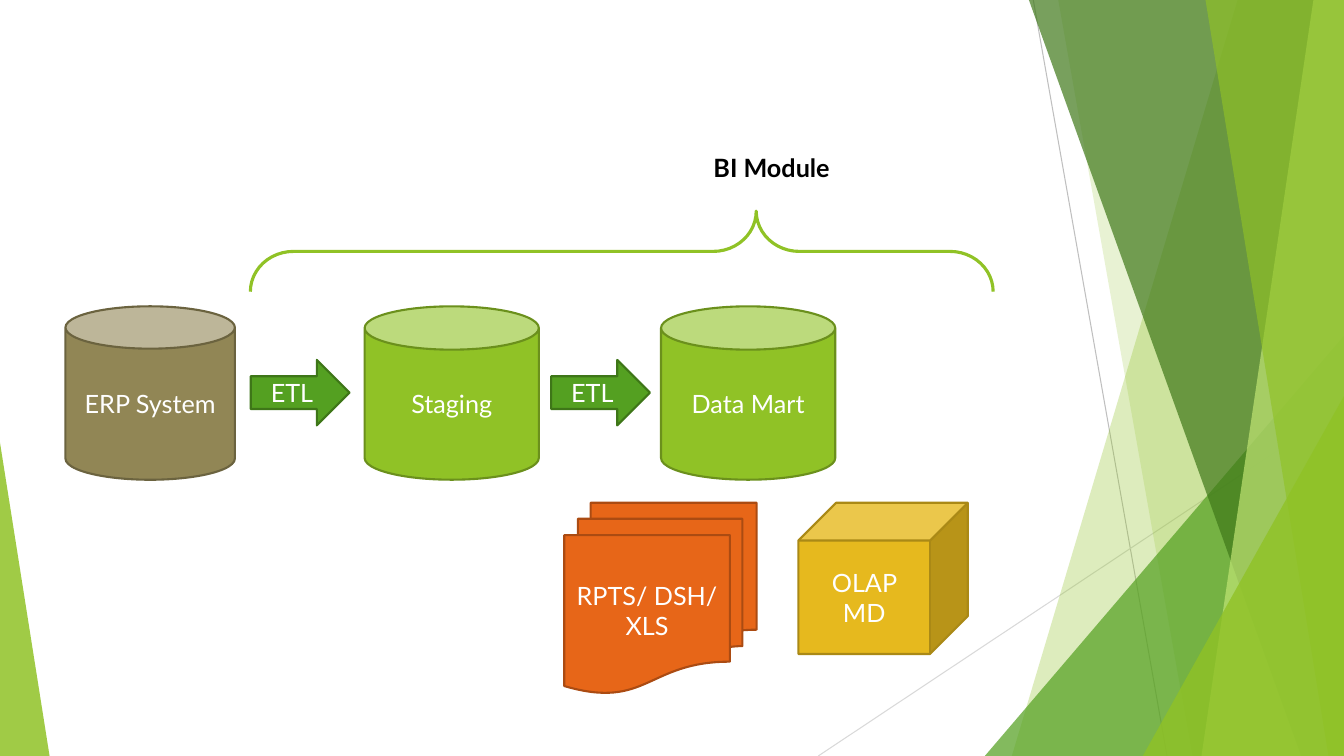
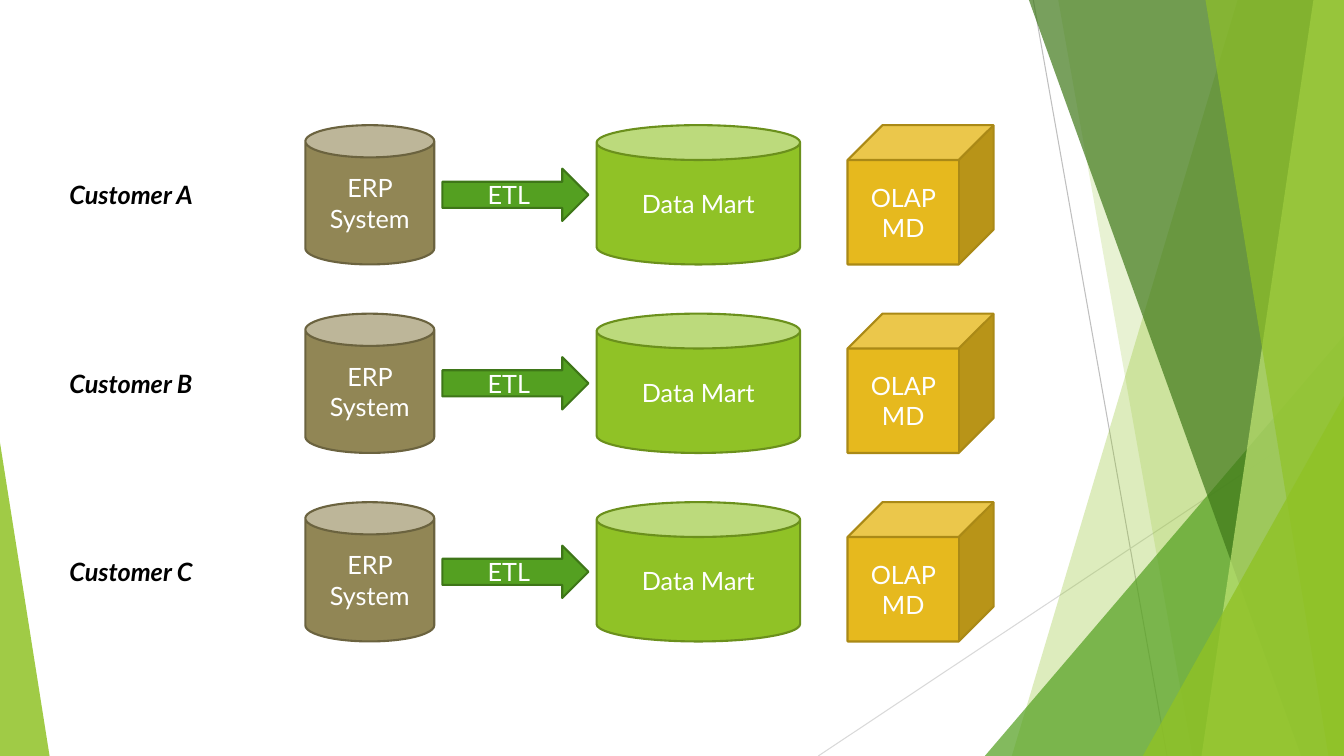
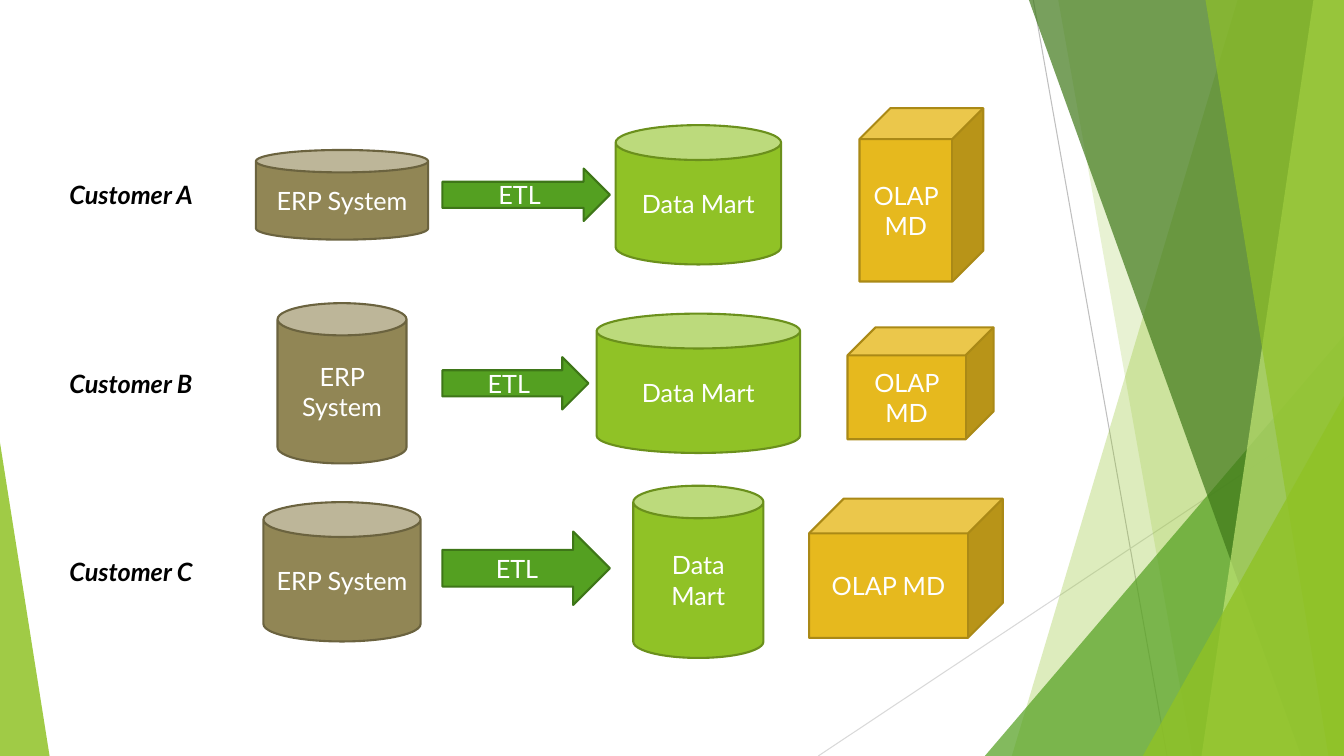
from pptx import Presentation
from pptx.dml.color import RGBColor
from pptx.enum.shapes import MSO_CONNECTOR, MSO_SHAPE
from pptx.enum.text import PP_ALIGN
from pptx.oxml.ns import qn
from pptx.util import Cm, Pt
from lxml import etree

CAN = MSO_SHAPE.CAN
CUBE = MSO_SHAPE.CUBE
ARROW = MSO_SHAPE.RIGHT_ARROW
PAPERS = MSO_SHAPE.FLOWCHART_MULTIDOCUMENT
BRACE = MSO_SHAPE.RIGHT_BRACE
TRIANGLE = MSO_SHAPE.ISOSCELES_TRIANGLE
STRAIGHT = MSO_CONNECTOR.STRAIGHT
CENTER = PP_ALIGN.CENTER

FONT = "Lato"
SIZE = Pt(18)
WHITE = RGBColor(0xFF, 0xFF, 0xFF)
BLACK = RGBColor(0x00, 0x00, 0x00)
SILVER = RGBColor(0xBF, 0xBF, 0xBF)
MIST = RGBColor(0xD9, 0xD9, 0xD9)
LIME = RGBColor(0x90, 0xC2, 0x26)
MOSS = RGBColor(0x6B, 0x90, 0x1C)
PALE = RGBColor(0xC0, 0xE4, 0x74)
GREEN = RGBColor(0x54, 0xA0, 0x21)
PINE = RGBColor(0x3E, 0x76, 0x18)
FOREST = RGBColor(0x3F, 0x78, 0x19)
KHAKI = RGBColor(0x91, 0x86, 0x55)
UMBER = RGBColor(0x6B, 0x63, 0x3F)
GOLD = RGBColor(0xE6, 0xB9, 0x1E)
BRONZE = RGBColor(0xAA, 0x89, 0x16)
ORANGE = RGBColor(0xE7, 0x66, 0x18)
RUST = RGBColor(0xAB, 0x4B, 0x12)

# Looks: shape, fill, outline, text
ERP = (CAN, KHAKI, UMBER, "ERP System")
STAGE = (CAN, LIME, MOSS, "Staging")
MART = (CAN, LIME, MOSS, "Data Mart")
ETL = (ARROW, GREEN, PINE, "ETL")
OLAP = (CUBE, GOLD, BRONZE, "OLAP MD")
REPORT = (PAPERS, ORANGE, RUST, "RPTS/ DSH/ XLS")

WIDE, HIGH = 33.87, 19.05  # slide size in cm


def add_block(slide, look, x, y, w, h):
    kind, fill, edge, text = look
    block = slide.shapes.add_shape(kind, Cm(x), Cm(y), Cm(w), Cm(h))
    block.shadow.inherit = False
    block.fill.solid()
    block.fill.fore_color.rgb = fill
    block.line.color.rgb = edge
    block.line.width = Pt(1.5)
    para = block.text_frame.paragraphs[0]
    para.text = text
    para.alignment = CENTER
    para.font.name = FONT
    para.font.size = SIZE
    para.font.color.rgb = WHITE


def add_label(slide, text, x, y, w, slant=False):
    box = slide.shapes.add_textbox(Cm(x), Cm(y), Cm(w), Cm(1.02))
    box.text_frame.word_wrap = True
    para = box.text_frame.paragraphs[0]
    para.text = text
    para.font.name = FONT
    para.font.size = SIZE
    para.font.bold = True
    para.font.italic = slant
    para.font.color.rgb = BLACK


deck = Presentation()
deck.slide_width, deck.slide_height = Cm(WIDE), Cm(HIGH)
blank = deck.slide_layouts[6]
for holder in list(blank.placeholders):
    blank.shapes.element.remove(holder.element)
flow, same, mixed = [deck.slides.add_slide(blank) for _ in range(3)]

# Shared backdrop: thin lines
for x1, y1, x2, y2, color in [
    (26.04, 0, 29.41, HIGH, SILVER),
    (WIDE, 10.24, 20.62, HIGH, MIST),
]:
    line = flow.shapes.add_connector(STRAIGHT, Cm(x1), Cm(y1), Cm(x2), Cm(y2))
    line.line.color.rgb = color
    line.line.width = Pt(0.75)
    etree.SubElement(line.element.spPr, qn("a:effectLst"))

# Facets: a band is (top x, foot x) up to the right edge,
# a triangle is (left, top, width, apex) down to the foot
for form, color, alpha in [
    ((31.19, 25.5), LIME, 30),
    ((26.67, 30.05), LIME, 20),
    ((24.82, 8.46, 9.05, 1), GREEN, 72),
    ((25.93, 32.79), FOREST, 70),
    ((33.1, 30.28), PALE, 70),
    ((30.38, 33.48), LIME, 65),
    ((28.8, 9.98, 5.07, 1), LIME, 80),
    ((0, 11.15, 1.25, 0), LIME, 85),
]:
    if len(form) == 2:
        top, foot = form
        pen = flow.shapes.build_freeform(Cm(top), 0)
        pen.add_line_segments([(Cm(WIDE), 0), (Cm(WIDE), Cm(HIGH)), (Cm(foot), Cm(HIGH))])
        facet = pen.convert_to_shape()
    else:
        x, y, w, apex = form
        facet = flow.shapes.add_shape(TRIANGLE, Cm(x), Cm(y), Cm(w), Cm(HIGH - y))
        facet.adjustments[0] = apex
    facet.shadow.inherit = False
    facet.line.fill.background()
    facet.fill.solid()
    facet.fill.fore_color.rgb = color
    tint = next(facet.element.iter(qn("a:srgbClr")))
    etree.SubElement(tint, qn("a:alpha"), val=str(alpha * 1000))

# Move the backdrop to the layout, so every slide shows it
for shape in list(flow.shapes):
    blank.shapes.element.append(shape.element)

# Slide 1: data flow
for look, x, w in [(ERP, 1.65, 4.27), (STAGE, 9.19, 4.39), (MART, 16.66, 4.39)]:
    add_block(flow, look, x, 7.72, w, 4.37)
for x in (6.32, 13.89):
    add_block(flow, ETL, x, 9.07, 2.49, 1.65)
add_block(flow, REPORT, 14.22, 12.67, 4.85, 4.8)
add_block(flow, OLAP, 20.12, 12.67, 4.27, 3.81)

# Brace, turned to point up: frame as seen, then before the turn
x, y, w, h = 6.31, 5.32, 18.72, 2.03
turn = (w - h) / 2
brace = flow.shapes.add_shape(BRACE, Cm(x + turn), Cm(y - turn), Cm(h), Cm(w))
brace.rotation = 270
brace.adjustments[0] = 0.535
brace.adjustments[1] = 0.681
brace.shadow.inherit = False
brace.fill.background()
brace.line.color.rgb = LIME
brace.line.width = Pt(2.25)
add_label(flow, "BI Module", 17.73, 3.71, 7.29)

# Slides 2 and 3: one row per customer, parts as (centre x, shift y, width, height)
LOOKS = (ERP, ETL, MART, OLAP)
EVEN = [(9.32, 0, 3.25, 3.51), (12.99, 0, 3.68, 1.32), (17.6, 0, 5.13, 3.51), (23.2, 0, 3.68, 3.51)]
VARIED = [
    [(8.62, 0, 4.34, 2.26), (13.26, 0, 4.22, 1.32), (17.6, 0, 4.17, 3.51), (23.22, 0, 3.12, 4.37)],
    [(8.62, 0, 3.25, 4.04), (12.99, 0, 3.68, 1.32), (17.6, 0, 5.13, 3.51), (23.2, 0, 3.68, 2.82)],
    [(8.62, 0, 3.96, 3.51), (13.26, -0.09, 4.22, 1.85), (17.6, 0, 3.28, 4.34), (22.83, -0.09, 4.88, 3.51)],
]
for slide, rows in [(same, [EVEN] * 3), (mixed, VARIED)]:
    for i, row in enumerate(rows):
        mid = 4.91 + i * 4.75
        add_label(slide, "Customer " + "ABC"[i], 1.5, mid - 0.51, 5.82, slant=True)
        for look, (x, shift, w, h) in zip(LOOKS, row):
            add_block(slide, look, x - w / 2, mid + shift - h / 2, w, h)

deck.save("out.pptx")
